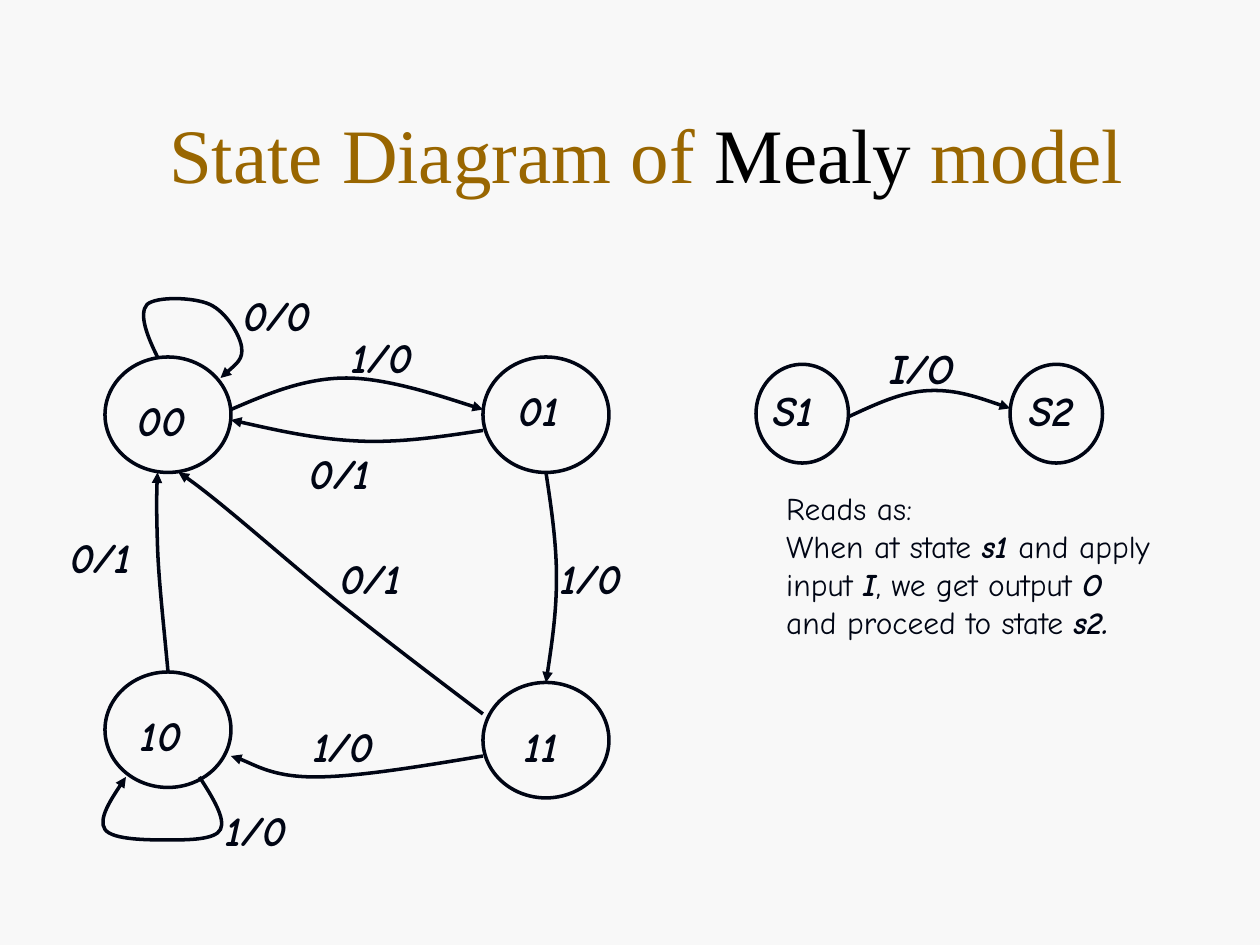
from typing import NamedTuple

from lxml import etree
from pptx import Presentation
from pptx import util as u
from pptx.dml.color import RGBColor
from pptx.enum import shapes, text
from pptx.oxml.ns import qn

CELLS_PER_INCH = 12
INK, GOLD, BLACK, PAPER = "000514", "996600", "000000", "F8F8F8"
HAND, SERIF = "Comic Neue", "Times New Roman"
STRONG = {"bold": True, "italic": True}
PLAIN = {"bold": False, "italic": False}


class State(NamedTuple):
    col: float
    row: float
    cols: float = 12
    rows: float = 11


class Label(NamedTuple):
    wording: str
    col: float
    row: float
    cols: float = 8.4


class Transition(NamedTuple):
    """Start point, then three points for each Bezier curve."""
    start: tuple
    curves: list


STATES = [
    State(10, 34), State(46, 34), State(46, 65), State(10, 64),
    State(72, 34.7, 8.8, 9.4), State(96.2, 34.7, 8.8, 9.4),
]

LABELS = [
    Label("00", 11.8, 37, 7.2), Label("01", 48.1, 36, 6.5),
    Label("11", 48.7, 68, 5.8), Label("10", 12.1, 67, 6.5),
    Label("0/0", 21.8, 27, 9.2), Label("1/0", 32.2, 31),
    Label("0/1", 28.2, 42), Label("1/0", 52.1, 52),
    Label("0/1", 31.1, 52), Label("1/0", 28.5, 68),
    Label("0/1", 5.4, 50), Label("1/0", 20.2, 76),
    Label("I/O", 83.5, 32, 8.7),
    Label("S1", 72.3, 36, 6.5), Label("S2", 96.7, 36, 6.9),
]

TRANSITIONS = [
    Transition((15, 34), [
        (14, 32), (13.2, 29.9), (14, 29), (14.9, 28.2), (18.5, 28.3), (20, 29),
        (21.5, 29.7), (22.8, 31.8), (23, 33), (23.2, 34.2), (22.1, 35), (21, 36)]),
    Transition((22, 39), [
        (25.5, 37.5), (29, 36), (33, 36), (37, 36), (43.7, 38.3), (46, 39)]),
    Transition((46, 41), [
        (42, 41.6), (38, 42.2), (34, 42), (30, 41.8), (26, 40.9), (22, 40)]),
    Transition((52, 45), [
        (52.5, 48.3), (53, 51.7), (53, 55), (53, 58.3), (52.5, 61.7), (52, 65)]),
    Transition((46, 68), [
        (41.9, 64.9), (37.8, 61.8), (33, 58), (28.2, 54.2), (20, 46.8), (17, 45)]),
    Transition((46, 72), [
        (40, 73), (34, 74), (30, 74), (26, 74), (23.3, 72.3), (22, 72)]),
    Transition((16, 64), [
        (15.6, 59.6), (15.1, 55.2), (15, 52), (14.9, 48.8), (14.9, 46.9), (15, 45)]),
    Transition((19, 74), [
        (20.3, 76), (21.5, 78), (21, 79), (20.5, 80), (17.9, 80), (16, 80),
        (14.1, 80), (10.7, 80), (10, 79), (9.3, 78), (11.3, 75), (12, 74)]),
    Transition((80.8, 39.7), [
        (83.4, 38.5), (85.9, 37.3), (88.5, 37.2), (91.1, 37.1), (93.6, 38), (96.2, 38.9)]),
]

READING = [
    [("Reads as:", PLAIN), ("\n", PLAIN), ("When at state ", PLAIN), ("s1", STRONG),
     (" and apply", PLAIN)],
    [("input ", PLAIN), ("I", STRONG), (", we get output ", PLAIN), ("O", STRONG)],
    [("and proceed to state ", PLAIN), ("s2.", STRONG)],
]


def cells(*counts: float) -> list:
    return [u.Inches(count / CELLS_PER_INCH) for count in counts]


def colour(hex_code: str) -> RGBColor:
    return RGBColor.from_string(hex_code)


def add_run(paragraph, wording: str, hex_code: str, formats: dict) -> None:
    if wording == "\n":
        paragraph.add_line_break()
        return
    run = paragraph.add_run()
    run.text = wording
    run.font.color.rgb = colour(hex_code)
    for name, value in formats.items():
        setattr(run.font, name, value)


def outline(shape) -> None:
    shape.shadow.inherit = False
    shape.fill.background()
    shape.line.color.rgb = colour(INK)
    shape.line.width = u.Pt(2)


def draw_state(slide, state: State) -> None:
    outline(slide.shapes.add_shape(shapes.MSO_SHAPE.OVAL, *cells(*state)))


def draw_transition(slide, transition: Transition) -> None:
    builder = slide.shapes.build_freeform(*cells(*transition.start))
    builder.add_line_segments([cells(*point) for point in transition.curves], close=False)
    arrow = builder.convert_to_shape()
    outline(arrow)
    # Each run of three straight segments becomes one cubic Bezier curve.
    segments = list(arrow._element.iter(qn("a:lnTo")))
    for first, second, third in zip(segments[::3], segments[1::3], segments[2::3]):
        curve = etree.Element(qn("a:cubicBezTo"))
        first.addprevious(curve)
        for segment in (first, second, third):
            curve.append(segment[0])
            segment.getparent().remove(segment)
    line = arrow._element.spPr.find(qn("a:ln"))
    etree.SubElement(line, qn("a:tailEnd"), type="triangle")


def add_text_frame(slide, col: float, row: float, cols: float, rows: float):
    frame = slide.shapes.add_textbox(*cells(col, row, cols, rows)).text_frame
    frame.word_wrap = False
    frame.auto_size = text.MSO_AUTO_SIZE.SHAPE_TO_FIT_TEXT
    return frame


def draw_label(slide, label: Label) -> None:
    frame = add_text_frame(slide, label.col, label.row, label.cols, 6)
    paragraph = frame.paragraphs[0]
    paragraph.alignment = text.PP_ALIGN.CENTER
    add_run(paragraph, label.wording, INK, {"name": HAND, "size": u.Pt(24), **STRONG})


def draw_reading(slide) -> None:
    frame = add_text_frame(slide, 73.7, 46, 38.2, 15.6)
    for index, runs in enumerate(READING):
        paragraph = frame.add_paragraph() if index else frame.paragraphs[0]
        for wording, style in runs:
            add_run(paragraph, wording, INK, {"name": HAND, "size": u.Pt(18), **style})


def draw_title(slide) -> None:
    title = slide.shapes.title
    title.left, title.top, title.width, title.height = cells(6.1, 7, 110.9, 15)
    title.text_frame.vertical_anchor = text.MSO_ANCHOR.MIDDLE
    paragraph = title.text_frame.paragraphs[0]
    paragraph.alignment = text.PP_ALIGN.CENTER
    for wording, hex_code in [("State Diagram of ", GOLD), ("Mealy", BLACK), (" model", GOLD)]:
        add_run(paragraph, wording, hex_code, {"name": SERIF, "size": u.Pt(44)})


def main() -> None:
    deck = Presentation()
    deck.slide_width, deck.slide_height = cells(120, 90)
    slide = deck.slides.add_slide(deck.slide_layouts[5])
    slide.background.fill.solid()
    slide.background.fill.fore_color.rgb = colour(PAPER)
    draw_title(slide)
    for draw, items in [(draw_state, STATES), (draw_transition, TRANSITIONS),
                        (draw_label, LABELS)]:
        for item in items:
            draw(slide, item)
    draw_reading(slide)
    deck.save("out.pptx")


if __name__ == "__main__":
    main()
